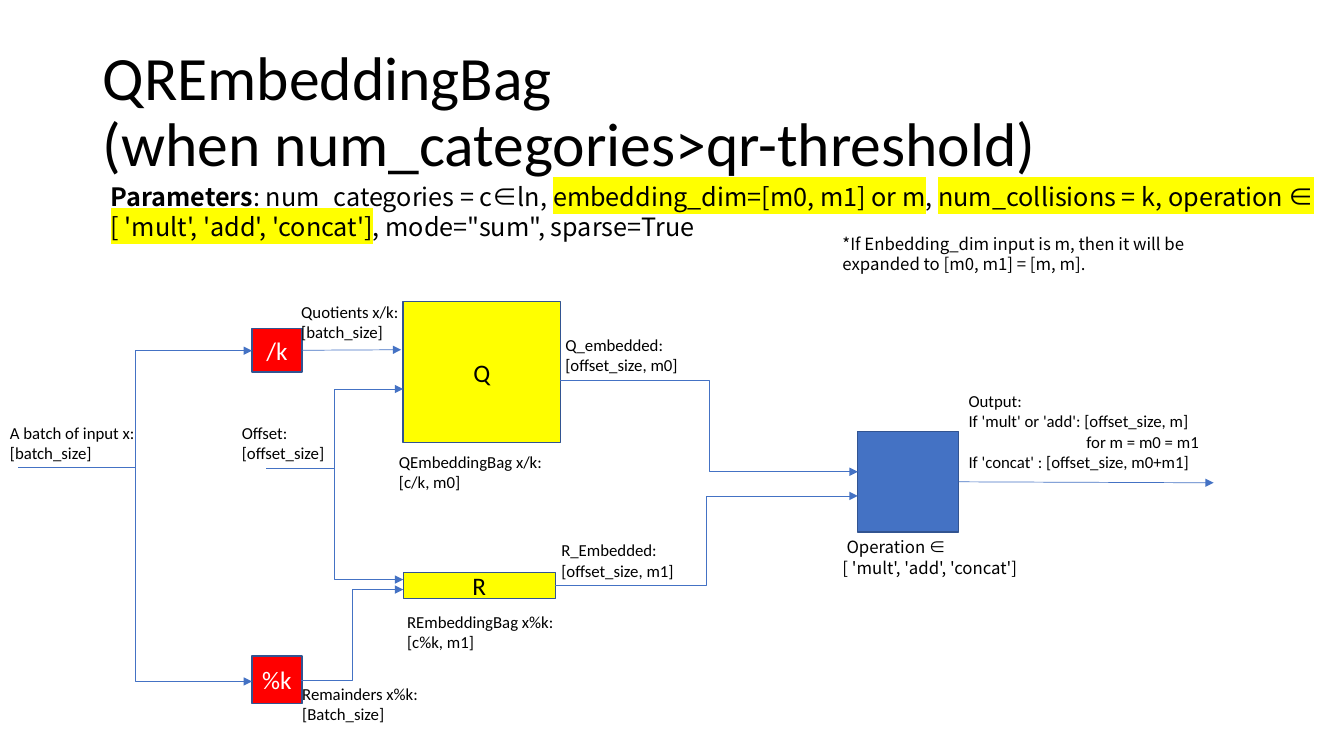
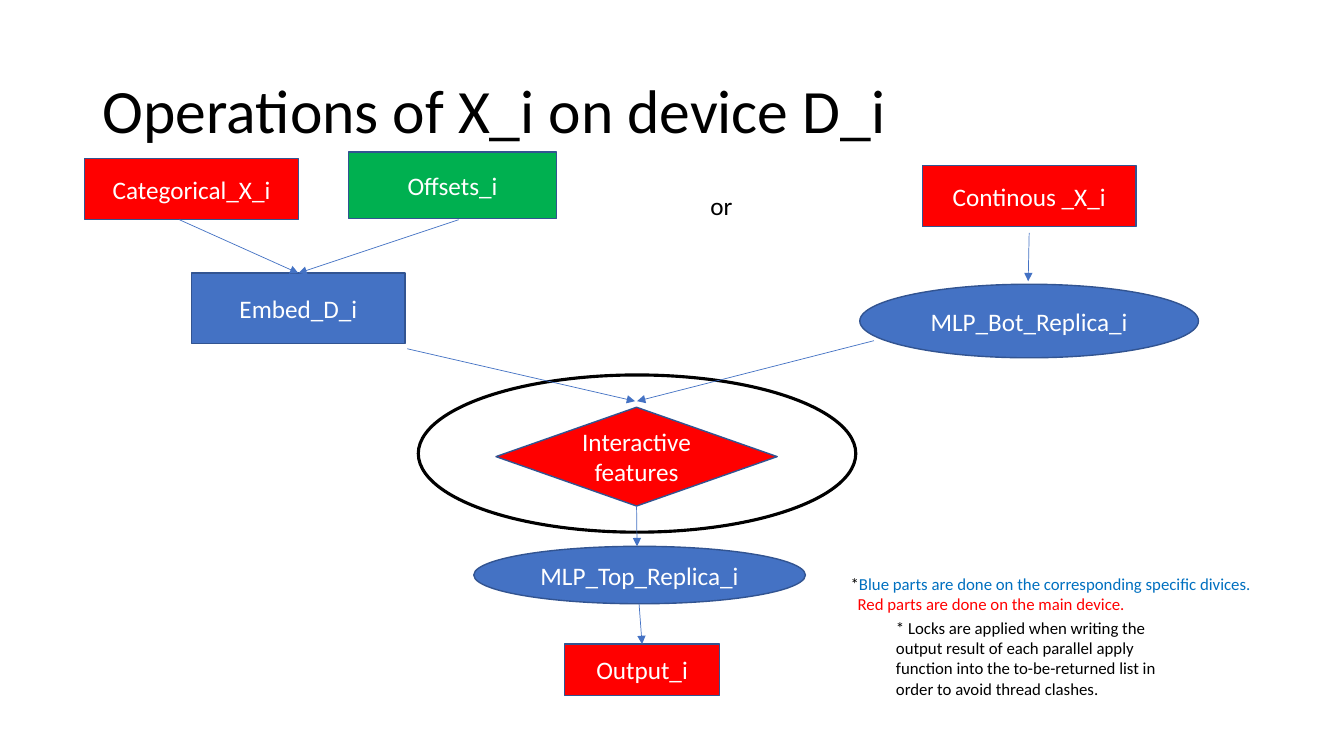
from dataclasses import dataclass
from typing import Optional

from lxml.etree import SubElement
from pptx import Presentation
from pptx.dml.color import RGBColor
from pptx.enum.shapes import MSO_CONNECTOR as Route, MSO_SHAPE as Form
from pptx.enum.text import MSO_ANCHOR as Anchor, MSO_AUTO_SIZE as Fit, PP_ALIGN as Align
from pptx.oxml.ns import qn
from pptx.util import Inches, Pt

COLUMNS, ROWS = 133.33, 75
TITLE_ONLY = 5
TOP, LEFT, BOTTOM, RIGHT = range(4)


@dataclass(frozen=True)
class Theme:
    sans: str = "Calibri"
    cjk: str = "Noto Sans CJK SC"
    title: float = 44
    body: float = 18
    note: float = 12
    thin: float = 0.5
    edge: float = 1
    bold_edge: float = 2.25
    black: str = "000000"
    white: str = "FFFFFF"
    blue: str = "4472C4"
    outline: str = "325491"
    red: str = "FF0000"
    green: str = "00B050"
    yellow: str = "FFFF00"
    note_blue: str = "0070C0"


THEME = Theme()


@dataclass(frozen=True)
class Frame:
    """A rectangle in grid columns and rows."""
    left: float
    top: float
    width: float
    height: float


@dataclass(frozen=True)
class Node:
    name: str
    frame: Frame
    fill: Optional[str]
    text: str = ""
    form: Form = Form.RECTANGLE
    ink: str = THEME.white
    edge: str = THEME.outline
    weight: float = THEME.edge


@dataclass(frozen=True)
class Joint:
    """The middle of one side of a named node."""
    node: str
    side: int


@dataclass(frozen=True)
class Link:
    start: tuple[float, float]
    end: tuple[float, float]
    route: Route = Route.STRAIGHT
    start_joint: Optional[Joint] = None
    end_joint: Optional[Joint] = None


@dataclass(frozen=True)
class Span:
    text: str
    bold: bool = False
    highlight: Optional[str] = None
    color: Optional[str] = None


@dataclass(frozen=True)
class Line:
    spans: tuple[Span, ...]
    indent: float = 0


@dataclass(frozen=True)
class Label:
    frame: Frame
    lines: tuple[Line, ...]
    size: float = THEME.note
    font: str = THEME.sans


def grid(units: float) -> int:
    return Inches(units / 10)


def place(frame: Frame) -> tuple[int, int, int, int]:
    return grid(frame.left), grid(frame.top), grid(frame.width), grid(frame.height)


def plain(text: str, indent: float = 0) -> Line:
    return Line((Span(text),), indent)


def label(left: float, top: float, width: float, height: float, text: str, **style) -> Label:
    return Label(Frame(left, top, width, height), (plain(text),), **style)


def set_font(para, size: float, color: str, font: str = THEME.sans) -> None:
    para.font.size = Pt(size)
    para.font.name = font
    para.font.color.rgb = RGBColor.from_string(color)


def add_span(para, span: Span) -> None:
    run = para.add_run()
    run.text = span.text
    if span.bold:
        run.font.bold = True
    if span.color:
        run.font.color.rgb = RGBColor.from_string(span.color)
    if span.highlight:
        mark = SubElement(run.font._element, qn("a:highlight"))
        SubElement(mark, qn("a:srgbClr")).set("val", span.highlight)


def add_label(page, item: Label) -> None:
    frame = page.shapes.add_textbox(*place(item.frame)).text_frame
    frame.word_wrap = True
    frame.auto_size = Fit.SHAPE_TO_FIT_TEXT
    for number, line in enumerate(item.lines):
        para = frame.add_paragraph() if number else frame.paragraphs[0]
        if line.indent:
            para._p.get_or_add_pPr().set("marL", str(grid(line.indent)))
        set_font(para, item.size, THEME.black, item.font)
        for span in line.spans:
            add_span(para, span)


def add_node(page, node: Node):
    shape = page.shapes.add_shape(node.form, *place(node.frame))
    shape.shadow.inherit = False
    if node.fill:
        shape.fill.solid()
        shape.fill.fore_color.rgb = RGBColor.from_string(node.fill)
    else:
        shape.fill.background()
    shape.line.color.rgb = RGBColor.from_string(node.edge)
    shape.line.width = Pt(node.weight)
    if node.text:
        shape.text_frame.vertical_anchor = Anchor.MIDDLE
        para = shape.text_frame.paragraphs[0]
        para.text = node.text
        para.alignment = Align.CENTER
        set_font(para, THEME.body, node.ink)
    return shape


def add_link(page, link: Link, shapes: dict) -> None:
    ends = [grid(value) for value in link.start + link.end]
    arrow = page.shapes.add_connector(link.route, *ends)
    if link.start_joint:
        arrow.begin_connect(shapes[link.start_joint.node], link.start_joint.side)
    if link.end_joint:
        arrow.end_connect(shapes[link.end_joint.node], link.end_joint.side)
    arrow.line.color.rgb = RGBColor.from_string(THEME.blue)
    arrow.line.width = Pt(THEME.thin)
    SubElement(arrow.line._get_or_add_ln(), qn("a:tailEnd")).set("type", "triangle")
    SubElement(arrow._element.spPr, qn("a:effectLst"))


def add_page(deck, title: str, nodes: list[Node], links: list[Link], labels: list[Label]) -> None:
    page = deck.slides.add_slide(deck.slide_layouts[TITLE_ONLY])
    box = page.shapes.title
    box.left, box.top, box.width, box.height = place(Frame(9.2, 4, 115, 14.5))
    box.text_frame.text = title
    box.text_frame.auto_size = Fit.NONE
    box.text_frame.vertical_anchor = Anchor.MIDDLE
    for para in box.text_frame.paragraphs:
        para.alignment = Align.LEFT
        para.line_spacing = 0.9
        set_font(para, THEME.title, THEME.black)
    shapes = {node.name: add_node(page, node) for node in nodes}
    for link in links:
        add_link(page, link, shapes)
    for item in labels:
        add_label(page, item)


def add_embedding_page(deck) -> None:
    nodes = [
        Node("quotient table", Frame(40, 29.9, 15.6, 14), THEME.yellow, "Q", ink=THEME.black),
        Node("remainder table", Frame(40, 56.8, 15.1, 2.6), THEME.yellow, "R", ink=THEME.black),
        Node("operation", Frame(85.1, 42.8, 10, 10), THEME.blue),
        Node("divide", Frame(25, 32.6, 4.95, 4.3), THEME.red, "/k"),
        Node("modulo", Frame(25, 65.1, 4.95, 4.7), THEME.red, "%k"),
    ]
    batch, offset = (1.8, 46.4), (26.4, 46.5)
    bends = [
        ((55.6, 37.7), (85.1, 46.8)),
        ((55.1, 58.1), (85.1, 49.2)),
        (offset, (40, 57.5)),
        (offset, (40, 38.6)),
        (batch, (25, 67.6)),
        (batch, (25, 34.8)),
        ((29.9, 67.5), (40, 58.5)),
    ]
    links = [Link(start, end, Route.ELBOW) for start, end in bends] + [
        Link((95.1, 47.8), (120.4, 47.9), start_joint=Joint("operation", RIGHT)),
        Link((29.9, 34.7), (39.8, 34.7), start_joint=Joint("divide", RIGHT)),
    ]
    parameters = Line((
        Span("Parameters", bold=True),
        Span(": num_categories = c∈ln, "),
        Span("embedding_dim=[m0, m1] or m", highlight=THEME.yellow),
        Span(", "),
        Span("num_collisions = k, operation ∈ [ 'mult', 'add', 'concat']", highlight=THEME.yellow),
        Span(", mode=\"sum\", sparse=True"),
    ))
    output = (
        plain("Output:"),
        plain("If 'mult' or 'add': [offset_size, m]"),
        plain("for m = m0 = m1", 11.7),
        plain("If 'concat' : [offset_size, m0+m1]"),
    )
    operation = (plain("Operation ∈", 0.4), plain("[ 'mult', 'add', 'concat']"))
    labels = [
        Label(Frame(10, 17.5, 123.4, 7.1), (parameters,), THEME.body, THEME.cjk),
        label(82.6, 22.7, 38.6, 5, "*If Enbedding_dim input is m, then it will be "
              "expanded to [m0, m1] = [m, m].", font=THEME.cjk),
        label(0, 41.4, 14.5, 5.1, "A batch of input x: [batch_size]"),
        label(28.9, 29.4, 16.4, 5, "Quotients x/k: [batch_size]"),
        label(29, 67.3, 16.4, 5, "Remainders x%k: [Batch_size]"),
        label(38.6, 44.3, 16.4, 5, "QEmbeddingBag x/k: [c/k, m0]"),
        label(39.4, 60.2, 17.2, 5, "REmbeddingBag x%k: [c%k, m1]"),
        label(55.1, 32.7, 16.4, 5, "Q_embedded: [offset_size, m0]"),
        label(54.7, 53.1, 16.4, 5, "R_Embedded: [offset_size, m1]"),
        label(23, 41.4, 14.5, 5.1, "Offset: [offset_size]"),
        Label(Frame(82.6, 52.8, 23.7, 5), operation, font=THEME.cjk),
        Label(Frame(95.1, 38.3, 27.8, 9.1), output),
    ]
    add_page(deck, "QREmbeddingBag\v(when num_categories>qr-threshold)", nodes, links, labels)


def add_device_page(deck) -> None:
    nodes = [
        Node("categorical", Frame(8.4, 15.7, 21.2, 6.1), THEME.red, "Categorical_X_i"),
        Node("offsets", Frame(34.6, 15.1, 20.6, 6.6), THEME.green, "Offsets_i"),
        Node("continuous", Frame(91.5, 16.4, 21.2, 6.1), THEME.red, "Continous _X_i"),
        Node("embed", Frame(19, 27.1, 21.2, 7), THEME.blue, "Embed_D_i"),
        Node("bottom", Frame(85.3, 28.2, 33.6, 7.3), THEME.blue, "MLP_Bot_Replica_i", Form.OVAL),
        Node("features", Frame(49.2, 40.4, 27.9, 9.8), THEME.red, "Interactive features", Form.DIAMOND),
        Node("top", Frame(47, 54.2, 32.9, 5.7), THEME.blue, "MLP_Top_Replica_i", Form.OVAL),
        Node("output", Frame(56, 63.9, 15.4, 5.1), THEME.red, "Output_i"),
        Node("ring", Frame(41.5, 37.2, 43.4, 15.6), None, form=Form.OVAL,
             edge=THEME.black, weight=THEME.bold_edge),
    ]
    links = [
        Link((17.8, 21.8), (29.2, 26.9), end_joint=Joint("embed", TOP)),
        Link((45.5, 21.8), (29.3, 26.9), end_joint=Joint("embed", TOP)),
        Link((102.1, 23.1), (102, 27.9)),
        Link((40.4, 34.6), (63, 39.8)),
        Link((86.7, 33.8), (63.2, 39.8)),
        Link((63.1, 49.7), (63.2, 54.2), start_joint=Joint("features", BOTTOM)),
        Link((63.4, 59.9), (63.7, 63.7), end_joint=Joint("output", TOP)),
    ]
    legend = (
        Line((Span("*"), Span("Blue parts are done on the corresponding specific divices.",
                              color=THEME.note_blue))),
        Line((Span("Red parts are done on the main device.", color=THEME.red),), 0.7),
    )
    labels = [
        label(69.5, 18.4, 30, 4, "or", size=THEME.body),
        Label(Frame(83.4, 56.4, 55.1, 5), legend),
        label(87.9, 60.8, 30, 9.1, "* Locks are applied when writing the output result of each parallel "
              "apply function into the to-be-returned list in order to avoid thread clashes."),
    ]
    add_page(deck, "Operations of X_i on device D_i", nodes, links, labels)


def main() -> None:
    deck = Presentation()
    deck.slide_width, deck.slide_height = grid(COLUMNS), grid(ROWS)
    add_embedding_page(deck)
    add_device_page(deck)
    deck.save("out.pptx")


if __name__ == "__main__":
    main()
